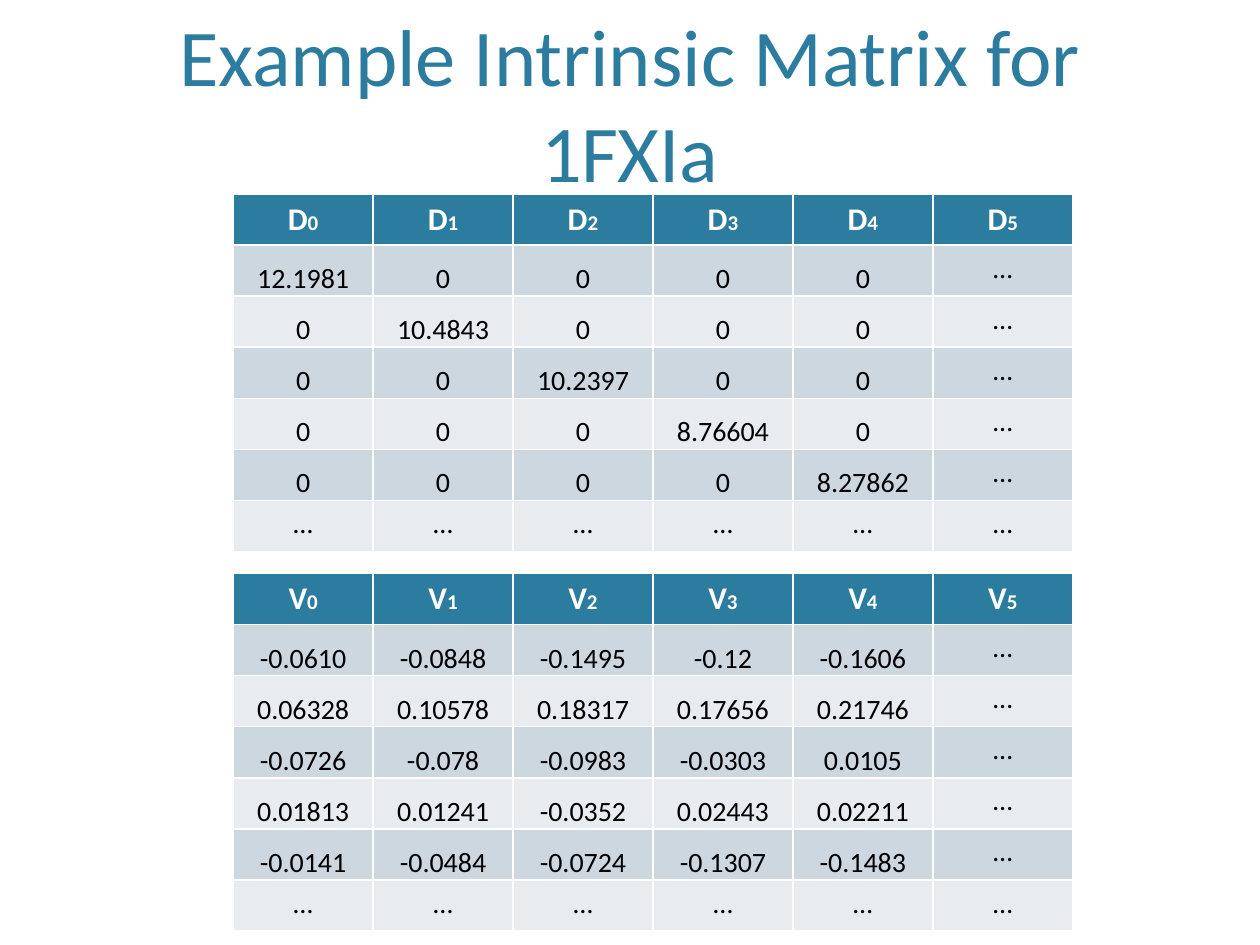
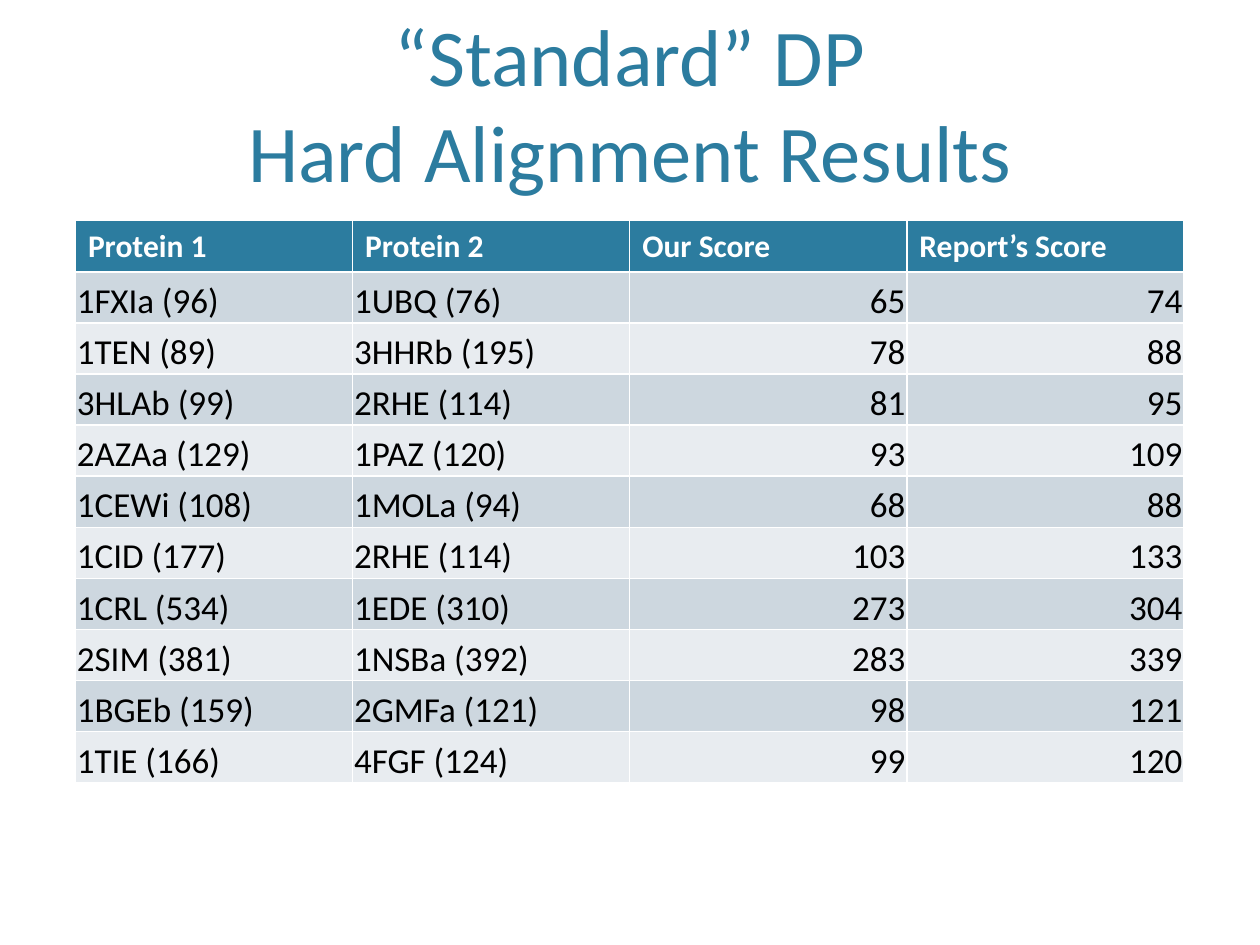
import pptx
import pptx.dml.color
import pptx.enum.text
import pptx.util

Cm, Pt = pptx.util.Cm, pptx.util.Pt
RGBColor = pptx.dml.color.RGBColor
ALIGN = pptx.enum.text.PP_ALIGN
ANCHOR = pptx.enum.text.MSO_ANCHOR

TEAL = RGBColor(0x2C, 0x7C, 0x9F)
DARK = RGBColor(0xCD, 0xD7, 0xDF)
LIGHT = RGBColor(0xE8, 0xEC, 0xF0)
WHITE = RGBColor(0xFF, 0xFF, 0xFF)
BLACK = RGBColor(0, 0, 0)

DOTS = "…"
SIZE = 6
DIAG = ["12.1981", "10.4843", "10.2397", "8.76604", "8.27862"]
VECTORS = [
    ["-0.0610", "-0.0848", "-0.1495", "-0.12", "-0.1606"],
    ["0.06328", "0.10578", "0.18317", "0.17656", "0.21746"],
    ["-0.0726", "-0.078", "-0.0983", "-0.0303", "0.0105"],
    ["0.01813", "0.01241", "-0.0352", "0.02443", "0.02211"],
    ["-0.0141", "-0.0484", "-0.0724", "-0.1307", "-0.1483"],
]
SCORES = [
    ["1FXIa (96)", "1UBQ (76)", "65", "74"],
    ["1TEN (89)", "3HHRb (195)", "78", "88"],
    ["3HLAb (99)", "2RHE (114)", "81", "95"],
    ["2AZAa (129)", "1PAZ (120)", "93", "109"],
    ["1CEWi (108)", "1MOLa (94)", "68", "88"],
    ["1CID (177)", "2RHE (114)", "103", "133"],
    ["1CRL (534)", "1EDE (310)", "273", "304"],
    ["2SIM (381)", "1NSBa (392)", "283", "339"],
    ["1BGEb (159)", "2GMFa (121)", "98", "121"],
    ["1TIE (166)", "4FGF (124)", "99", "120"],
]
SCORE_HEAD = [["Protein 1"], ["Protein 2"], ["Our Score"], ["Report’s Score"]]

ROW = 1.03
LEFT, WIDE = 1.52, 22.35
TITLE_BOX = {"left": Cm(LEFT), "top": Cm(0.3), "width": Cm(WIDE), "height": Cm(3.71)}
TITLE_FRAME = {
    "vertical_anchor": ANCHOR.BOTTOM,
    "margin_bottom": 0,
    "word_wrap": True,
    "auto_size": pptx.enum.text.MSO_AUTO_SIZE.NONE,
}
VALUE_CELL = {
    "vertical_anchor": ANCHOR.BOTTOM,
    "margin_left": Cm(0.03),
    "margin_right": Cm(0.03),
    "margin_top": Cm(0.03),
    "margin_bottom": 0,
}


def apply(item, form):
    for name, value in form.items():
        setattr(item, name, value)


def style(run, size, color, bold=False):
    apply(run.font, {"name": "Calibri", "size": Pt(size), "bold": bold})
    run.font.color.rgb = color


def add_slide(deck, text):
    slide = deck.slides.add_slide(deck.slide_layouts[5])
    title = slide.shapes.title
    apply(title, TITLE_BOX)
    apply(title.text_frame, TITLE_FRAME)
    para = title.text_frame.paragraphs[0]
    para.text = text
    para.alignment = ALIGN.CENTER
    for run in para.runs:
        style(run, 46, TEAL)
    return slide


def fill_cell(cell, parts, fill, sizes, color, align, bold=False):
    cell.fill.solid()
    cell.fill.fore_color.rgb = fill
    para = cell.text_frame.paragraphs[0]
    para.alignment = align
    for text, size in zip(parts, sizes):
        run = para.add_run()
        run.text = text
        style(run, size, color, bold)


def add_grid(slide, box, head, body, size, heads, aligns):
    left, top, width = box
    count = len(body) + 1
    frame = slide.shapes.add_table(
        count, len(head), Cm(left), Cm(top), Cm(width), Cm(ROW * count))
    grid = frame.table
    for row in grid.rows:
        row.height = Cm(ROW)
    for col, parts in enumerate(head):
        fill_cell(grid.cell(0, col), parts, TEAL, (18, 12), WHITE, heads, True)
    for num, row in enumerate(body, 1):
        fill = DARK if num % 2 else LIGHT
        for col, text in enumerate(row):
            cell = grid.cell(num, col)
            fill_cell(cell, [text], fill, [size], BLACK, aligns[col])
            if text != DOTS:
                apply(cell, VALUE_CELL)


def add_matrix(slide, top, letter, rows):
    head = [[letter, str(num)] for num in range(SIZE)]
    body = [row + [DOTS] for row in rows] + [[DOTS] * SIZE]
    add_grid(slide, (4.7, top, 16.93), head, body, 16,
             ALIGN.CENTER, [ALIGN.CENTER] * SIZE)


def main():
    deck = pptx.Presentation()
    apply(deck, {"slide_width": Cm(25.4), "slide_height": Cm(19.05)})

    slide = add_slide(deck, "Example Intrinsic Matrix for 1FXIa")
    diag = [[value if row == col else "0" for col in range(len(DIAG))]
            for row, value in enumerate(DIAG)]
    add_matrix(slide, 3.91, "D", diag)
    add_matrix(slide, 11.56, "V", VECTORS)

    slide = add_slide(deck, "“Standard” DP\vHard Alignment Results")
    add_grid(slide, (LEFT, 4.45, WIDE), SCORE_HEAD, SCORES, 20,
             ALIGN.LEFT, [ALIGN.LEFT] * 2 + [ALIGN.RIGHT] * 2)

    deck.save("out.pptx")


if __name__ == "__main__":
    main()
